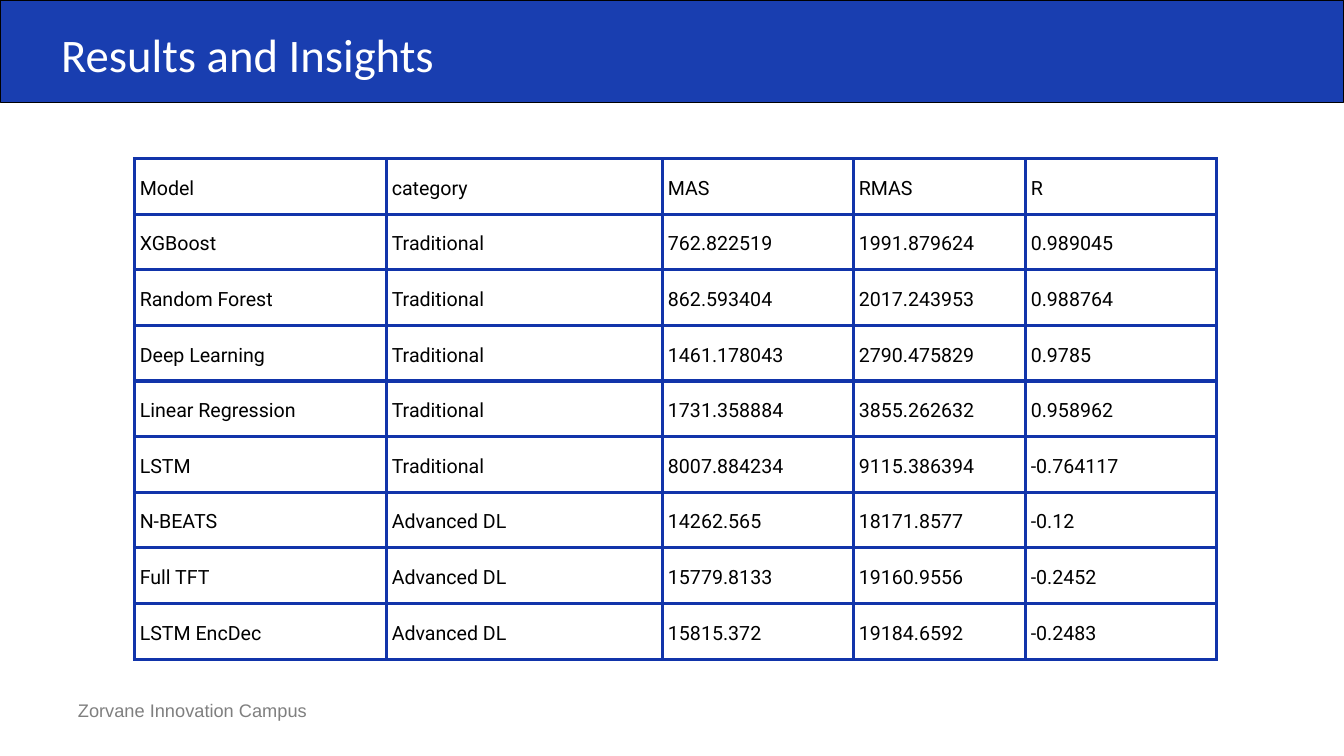
from typing import NamedTuple

from lxml import etree
from pptx import Presentation
from pptx.dml.color import RGBColor
from pptx.enum.shapes import MSO_SHAPE
from pptx.enum.text import MSO_ANCHOR, MSO_AUTO_SIZE
from pptx.oxml.ns import qn
from pptx.util import Emu, Pt

RECT = MSO_SHAPE.RECTANGLE
MIDDLE = MSO_ANCHOR.MIDDLE
GROW = MSO_AUTO_SIZE.SHAPE_TO_FIT_TEXT

WHITE = RGBColor(0xFF, 0xFF, 0xFF)
BLACK = RGBColor(0x00, 0x00, 0x00)
GRAY = RGBColor(0x7F, 0x7F, 0x7F)
BLUE = RGBColor(0x19, 0x3E, 0xB0)
GRID = RGBColor(0x11, 0x34, 0xAA)

SCALE = 9144  # EMU per px, 100 px to the inch
PAD = 8
SIDES = ("a:lnL", "a:lnR", "a:lnT", "a:lnB")


class Box(NamedTuple):
    left: int
    top: int
    width: int
    height: int


class Label(NamedTuple):
    text: str
    box: Box
    size: float
    lead: float
    font: str
    color: RGBColor


LABELS = [
    Label("Zorvane Innovation Campus", Box(116, 1040, 583, 35), 19.5, 23.4, "Arial", GRAY),
    Label("Results and Insights", Box(91, 38, 813, 96), 50, 60, "Calibri", WHITE),
]

TABLE = Box(200, 236, 1610, 745)
COLS = [375, 411, 284, 256, 284]
ROWS = [
    ("Model", "category", "MAS", "RMAS", "R"),
    ("XGBoost", "Traditional", "762.822519", "1991.879624", "0.989045"),
    ("Random Forest", "Traditional", "862.593404", "2017.243953", "0.988764"),
    ("Deep Learning", "Traditional", "1461.178043", "2790.475829", "0.9785"),
    ("Linear Regression", "Traditional", "1731.358884", "3855.262632", "0.958962"),
    ("LSTM", "Traditional", "8007.884234", "9115.386394", "-0.764117"),
    ("N-BEATS", "Advanced DL", "14262.565", "18171.8577", "-0.12"),
    ("Full TFT", "Advanced DL", "15779.8133", "19160.9556", "-0.2452"),
    ("LSTM EncDec", "Advanced DL", "15815.372", "19184.6592", "-0.2483"),
]


def px(n: int) -> Emu:
    return Emu(n * SCALE)


def place(box: Box) -> list[Emu]:
    return [px(n) for n in box]


def write(frame, text: str, *, size: float, lead: float, font: str, color: RGBColor) -> None:
    par = frame.paragraphs[0]
    par.line_spacing = Pt(lead)
    run = par.add_run()
    run.text = text
    run.font.size = Pt(size)
    run.font.name = font
    run.font.color.rgb = color


def add_label(slide, label: Label) -> None:
    frame = slide.shapes.add_textbox(*place(label.box)).text_frame
    frame.word_wrap = True
    frame.auto_size = GROW
    frame.margin_left = frame.margin_right = 0
    frame.margin_top = frame.margin_bottom = 0
    write(frame, label.text, size=label.size, lead=label.lead,
          font=label.font, color=label.color)


def add_banner(slide, box: Box) -> None:
    banner = slide.shapes.add_shape(RECT, *place(box))
    banner.shadow.inherit = False
    banner.fill.solid()
    banner.fill.fore_color.rgb = BLUE
    banner.line.color.rgb = BLACK
    banner.line.width = Pt(1)


def add_border(cell, color: RGBColor, width: float) -> None:
    props = cell._tc.get_or_add_tcPr()
    for side in SIDES:
        line = etree.SubElement(props, qn(side), w=str(Pt(width)))
        fill = etree.SubElement(line, qn("a:solidFill"))
        etree.SubElement(fill, qn("a:srgbClr"), val=str(color))


def fill_cell(cell, text: str) -> None:
    cell.margin_left = cell.margin_right = px(PAD)
    cell.margin_top = cell.margin_bottom = px(PAD)
    cell.vertical_anchor = MIDDLE
    add_border(cell, GRID, 3.75)
    cell.fill.background()
    write(cell.text_frame, text, size=21, lead=29.4, font="Roboto", color=BLACK)


def add_grid(slide, box: Box) -> None:
    table = slide.shapes.add_table(len(ROWS), len(COLS), *place(box)).table
    table.first_row = table.horz_banding = False
    for col, width in zip(table.columns, COLS):
        col.width = px(width)
    for row, texts in zip(table.rows, ROWS):
        row.height = Emu(px(box.height) // len(ROWS))
        for cell, text in zip(row.cells, texts):
            fill_cell(cell, text)


def main() -> None:
    deck = Presentation()
    deck.slide_width, deck.slide_height = px(2000), px(1125)
    slide = deck.slides.add_slide(deck.slide_layouts[6])

    # Header band, then title and footer
    add_banner(slide, Box(0, 0, 2000, 152))
    for label in LABELS:
        add_label(slide, label)

    # Model scores
    add_grid(slide, TABLE)

    deck.save("out.pptx")


if __name__ == "__main__":
    main()
